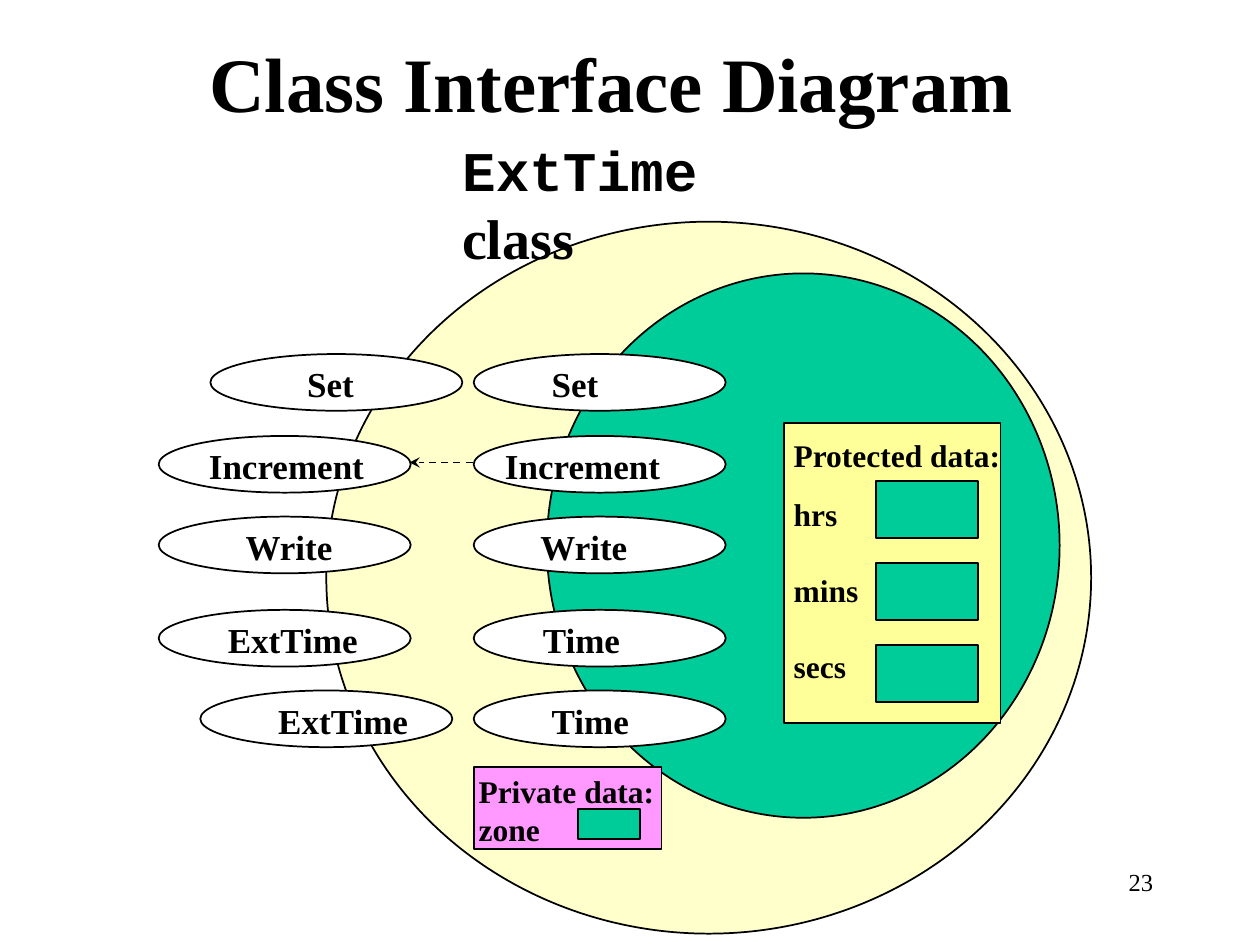
from lxml import etree
from pptx import Presentation
from pptx.dml.color import RGBColor
from pptx.enum.dml import MSO_LINE
from pptx.enum.shapes import MSO_CONNECTOR, MSO_SHAPE
from pptx.enum.text import MSO_ANCHOR, MSO_AUTO_SIZE, PP_ALIGN
from pptx.oxml.ns import qn
from pptx.util import Inches, Pt

BLACK = RGBColor(0x00, 0x00, 0x00)
WHITE = RGBColor(0xFF, 0xFF, 0xFF)
CREAM = RGBColor(0xFF, 0xFF, 0xCC)
GREEN = RGBColor(0x00, 0xCC, 0x99)
YELLOW = RGBColor(0xFF, 0xFF, 0x99)
PINK = RGBColor(0xFF, 0x99, 0xFF)
SERIF, MONO = "Times New Roman", "Courier New"


class ClassDiagram:
    def __init__(self, slide):
        self.slide = slide
        self.shapes = slide.shapes
        self.line_width = Pt(1)

    def shape(self, kind, left, top, width, height, fill):
        shape = self.shapes.add_shape(
            kind, Inches(left), Inches(top), Inches(width), Inches(height))
        shape.shadow.inherit = False
        shape.fill.solid()
        shape.fill.fore_color.rgb = fill
        shape.line.color.rgb = BLACK
        shape.line.width = self.line_width

    def oval(self, *bounds, fill=WHITE):
        self.shape(MSO_SHAPE.OVAL, *bounds, fill)

    def box(self, *bounds, fill=GREEN):
        self.shape(MSO_SHAPE.RECTANGLE, *bounds, fill)

    def add_text(self, paragraph, text, size, font=SERIF, bold=True):
        run = paragraph.add_run()
        run.text = text
        run.font.name = font
        run.font.size = Pt(size)
        run.font.bold = bold
        run.font.color.rgb = BLACK

    def title(self, text, left, top, width, height):
        title = self.shapes.title
        title.left, title.top = Inches(left), Inches(top)
        title.width, title.height = Inches(width), Inches(height)
        frame = title.text_frame
        frame.auto_size = MSO_AUTO_SIZE.NONE
        frame.vertical_anchor = MSO_ANCHOR.TOP
        frame.paragraphs[0].alignment = PP_ALIGN.LEFT
        self.add_text(frame.paragraphs[0], text, 44)

    def frame(self, left, top, width, height):
        """Add an empty wrapping text box and return its text frame."""
        frame = self.shapes.add_textbox(
            Inches(left), Inches(top), Inches(width), Inches(height)).text_frame
        frame.word_wrap = True
        return frame

    def label(self, text, *bounds, size=20):
        self.add_text(self.frame(*bounds).paragraphs[0], text, size)

    def text_list(self, items, *bounds):
        """Add (text, space before) pairs as paragraphs."""
        frame = self.frame(*bounds)
        for index, (text, gap) in enumerate(items):
            paragraph = frame.add_paragraph() if index else frame.paragraphs[0]
            if gap:
                paragraph.space_before = Pt(gap)
            self.add_text(paragraph, text, 18)

    def dashed_arrow(self, x1, y1, x2, y2):
        arrow = self.shapes.add_connector(
            MSO_CONNECTOR.STRAIGHT, Inches(x1), Inches(y1), Inches(x2), Inches(y2))
        arrow.line.color.rgb = BLACK
        arrow.line.width = self.line_width
        arrow.line.dash_style = MSO_LINE.DASH
        properties = arrow._element.spPr
        etree.SubElement(properties.find(qn("a:ln")), qn("a:tailEnd"), type="stealth")
        etree.SubElement(properties, qn("a:effectLst"))


def main():
    prs = Presentation()
    prs.slide_width, prs.slide_height = Inches(10), Inches(7.5)
    diagram = ClassDiagram(prs.slides.add_slide(prs.slide_layouts[5]))

    diagram.title("Class Interface Diagram", 1.56, 0.23, 6.65, 0.83)
    diagram.oval(2.59, 1.76, 6.07, 5.65, fill=CREAM)
    diagram.oval(4.34, 2.17, 4.07, 4.32, fill=GREEN)

    class_name = diagram.frame(3.57, 1.03, 3, 0.63).paragraphs[0]
    diagram.add_text(class_name, "ExtTime ", 32, MONO)
    diagram.add_text(class_name, "class", 32)

    diagram.box(6.22, 3.36, 1.72, 2.38, fill=YELLOW)
    diagram.text_list(
        [("Protected data:", 0), ("hrs", 12), ("mins", 22), ("secs", 22)],
        6.2, 3.41, 1.88, 2.07)
    for row in range(3):
        diagram.box(6.95, 3.82 + 0.65 * row, 0.81, 0.45)

    # Each method: text, oval left, label left, label width
    inherited_left = 3.76
    methods = [
        (2.81, ("Set", 1.67, 2.34, 0.6), ("Set", inherited_left, 4.28, 0.6)),
        (3.46, ("Increment", 1.26, 1.56, 1.46), ("Increment", inherited_left, 3.91, 1.46)),
        (4.1, ("Write", 1.26, 1.85, 0.92), ("Write", inherited_left, 4.19, 0.92)),
        (4.84, ("ExtTime", 1.26, 1.71, 1.26), ("Time", inherited_left, 4.21, 0.84)),
        (5.48, ("ExtTime", 1.59, 2.11, 1.26), ("Time", inherited_left, 4.28, 0.84)),
    ]
    for top, *pair in methods:
        for text, oval_left, label_left, label_width in pair:
            diagram.oval(oval_left, top, 2, 0.45)
            diagram.label(text, label_left, top + 0.02, label_width, 0.43)
    diagram.dashed_arrow(3.75, 3.67, 3.25, 3.67)

    diagram.box(3.76, 6.09, 1.49, 0.65, fill=PINK)
    diagram.text_list([("Private data:", 0), ("zone", 0)], 3.7, 6.08, 1.62, 0.7)
    diagram.box(4.59, 6.42, 0.49, 0.24)

    page_number = diagram.frame(7.17, 6.83, 2.08, 0.5).paragraphs[0]
    page_number.alignment = PP_ALIGN.RIGHT
    diagram.add_text(page_number, "23", 14, bold=False)

    prs.save("out.pptx")


if __name__ == "__main__":
    main()
